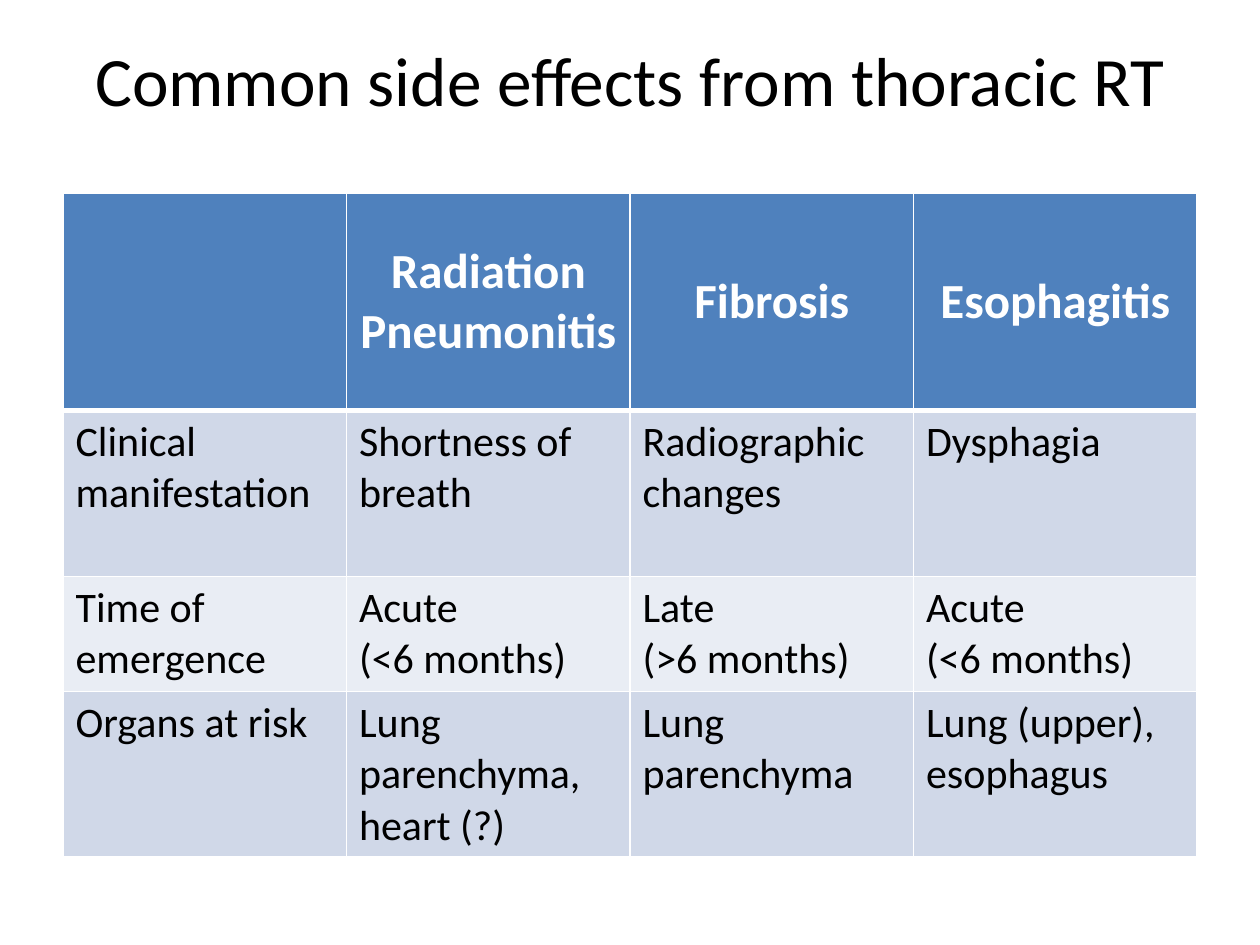
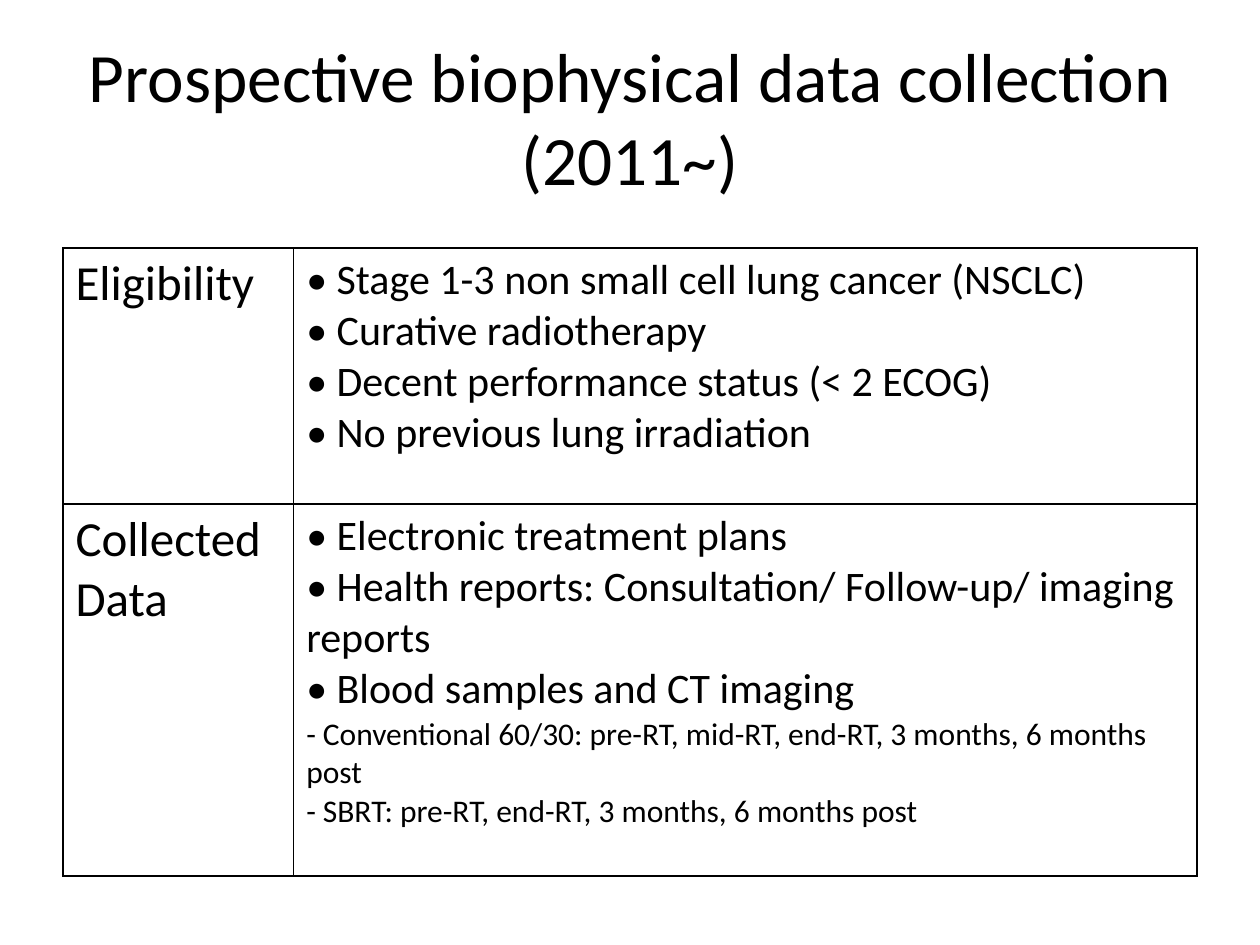
from pptx import Presentation
from pptx.dml.color import RGBColor
from pptx.enum.text import MSO_ANCHOR as Anchor, PP_ALIGN as Align
from pptx.oxml import parse_xml
from pptx.oxml.ns import nsdecls
from pptx.util import Cm, Pt

SIDE_EFFECTS = [
    ["", "Radiation Pneumonitis", "Fibrosis", "Esophagitis"],
    ["Clinical manifestation", "Shortness of breath", "Radiographic changes", "Dysphagia"],
    ["Time of emergence", "Acute\n(<6 months)", "Late\n(>6 months)", "Acute\n(<6 months)"],
    ["Organs at risk", "Lung parenchyma, heart (?)", "Lung parenchyma", "Lung (upper), esophagus"],
]

COLLECTION = [
    ["Eligibility", [
        "• Stage 1-3 non small cell lung cancer (NSCLC)",
        "• Curative radiotherapy",
        "• Decent performance status (< 2 ECOG)",
        "• No previous lung irradiation",
    ]],
    ["Collected Data", [
        "• Electronic treatment plans",
        "• Health reports: Consultation/ Follow-up/ imaging reports",
        "• Blood samples and CT imaging",
        "- Conventional 60/30: pre-RT, mid-RT, end-RT, 3 months, 6 months post",
        "- SBRT: pre-RT, end-RT, 3 months, 6 months post",
    ]],
]


def color(hex_string):
    """Turn a hex string into a colour."""
    return RGBColor.from_string(hex_string)


class Deck:
    """Holds the shared style and the current slide."""

    FONT = "Calibri"
    BLACK, WHITE = "000000", "FFFFFF"
    HEADER, BANDS = "4F81BD", ("E9EDF4", "D0D8E8")
    TITLE_SIZE, HEAD_SIZE, BODY_SIZE = 39.6, 28, 24
    MARK_SIZES = {"•": 24, "-": 18}
    LEFT, WIDTH = 1.27, 22.86

    def __init__(self):
        self.presentation = Presentation()
        self.presentation.slide_width = Cm(25.4)
        self.presentation.slide_height = Cm(19.05)
        self.slide = None

    def new_slide(self, title, title_top):
        """Add a blank slide with its centred title."""
        self.slide = self.presentation.slides.add_slide(self.presentation.slide_layouts[6])
        heading = self.slide.shapes.add_textbox(
            Cm(self.LEFT), Cm(title_top), Cm(self.WIDTH), Cm(3.18)).text_frame
        heading.word_wrap = True
        heading.vertical_anchor = Anchor.MIDDLE
        heading.text = title
        self.format(heading.paragraphs[0], self.TITLE_SIZE, align=Align.CENTER)

    def format(self, paragraph, size, ink=BLACK, bold=False, align=Align.LEFT):
        """Apply the deck's type style to a paragraph."""
        paragraph.alignment = align
        for run in paragraph.runs:
            run.font.name = self.FONT
            run.font.size = Pt(size)
            run.font.bold = bold
            run.font.color.rgb = color(ink)

    def grid(self, top, widths, heights):
        """Add an unstyled table and return it."""
        table = self.slide.shapes.add_table(
            len(heights), len(widths), Cm(self.LEFT), Cm(top),
            Cm(sum(widths)), Cm(sum(heights))).table
        table.first_row = table.horz_banding = False
        for column, width in zip(table.columns, widths):
            column.width = Cm(width)
        for row, height in zip(table.rows, heights):
            row.height = Cm(height)
        return table

    def borders(self, cell, ink, top=1, bottom=1):
        """Draw the four sides of a cell, with widths in points."""
        sides = {"lnL": 1, "lnR": 1, "lnT": top, "lnB": bottom}
        for place, (side, width) in enumerate(sides.items()):
            line = parse_xml(
                f'<a:{side} {nsdecls("a")} w="{Pt(width)}"><a:solidFill>'
                f'<a:srgbClr val="{ink}"/></a:solidFill></a:{side}>')
            cell._tc.get_or_add_tcPr().insert(place, line)

    def banded_table(self, rows, top, widths, heights):
        """Add a table with a coloured header and banded rows."""
        table = self.grid(top, widths, heights)
        for r, row in enumerate(rows):
            for c, text in enumerate(row):
                cell = table.cell(r, c)
                cell.text_frame.text = text
                cell.fill.solid()
                cell.fill.fore_color.rgb = color(self.BANDS[r % 2] if r else self.HEADER)
                if r == 0:
                    cell.vertical_anchor = Anchor.MIDDLE
                for paragraph in cell.text_frame.paragraphs:
                    if r == 0:
                        self.format(paragraph, self.HEAD_SIZE, self.WHITE, True, Align.CENTER)
                    else:
                        self.format(paragraph, self.BODY_SIZE)
                self.borders(cell, self.WHITE, top=3 if r == 1 else 1, bottom=1 if r else 3)

    def listing_table(self, rows, top, widths, heights):
        """Add an outlined table of topics and marked lists."""
        table = self.grid(top, widths, heights)
        for r, (topic, items) in enumerate(rows):
            topic_cell, list_cell = table.cell(r, 0), table.cell(r, 1)
            topic_cell.text_frame.text = topic
            self.format(topic_cell.text_frame.paragraphs[0], self.HEAD_SIZE)
            list_cell.text_frame.text = "\n".join(items)
            for paragraph in list_cell.text_frame.paragraphs:
                self.mark(paragraph)
            for cell in (topic_cell, list_cell):
                cell.fill.background()
                self.borders(cell, self.BLACK)

    def mark(self, paragraph):
        """Turn the leading sign of a paragraph into its bullet."""
        sign, paragraph.text = paragraph.text[0], paragraph.text[1:]
        self.format(paragraph, self.MARK_SIZES[sign])
        properties = paragraph._p.get_or_add_pPr()
        properties.set("marL", "0")
        properties.set("indent", "0")
        properties.append(parse_xml(f'<a:buFont {nsdecls("a")} typeface="{self.FONT}"/>'))
        properties.append(parse_xml(f'<a:buChar {nsdecls("a")} char="{sign}"/>'))


def main():
    """Build and save the slides."""
    deck = Deck()
    deck.new_slide("Common side effects from thoracic RT", 0)
    deck.banded_table(SIDE_EFFECTS, 3.89, [deck.WIDTH / 4] * 4, [4.38, 3.35, 2.32, 3.34])
    deck.new_slide("Prospective biophysical data collection (2011~)", 0.76)
    deck.listing_table(COLLECTION, 5, [4.65, 18.21], [5.16, 7.5])
    deck.presentation.save("out.pptx")


if __name__ == "__main__":
    main()
